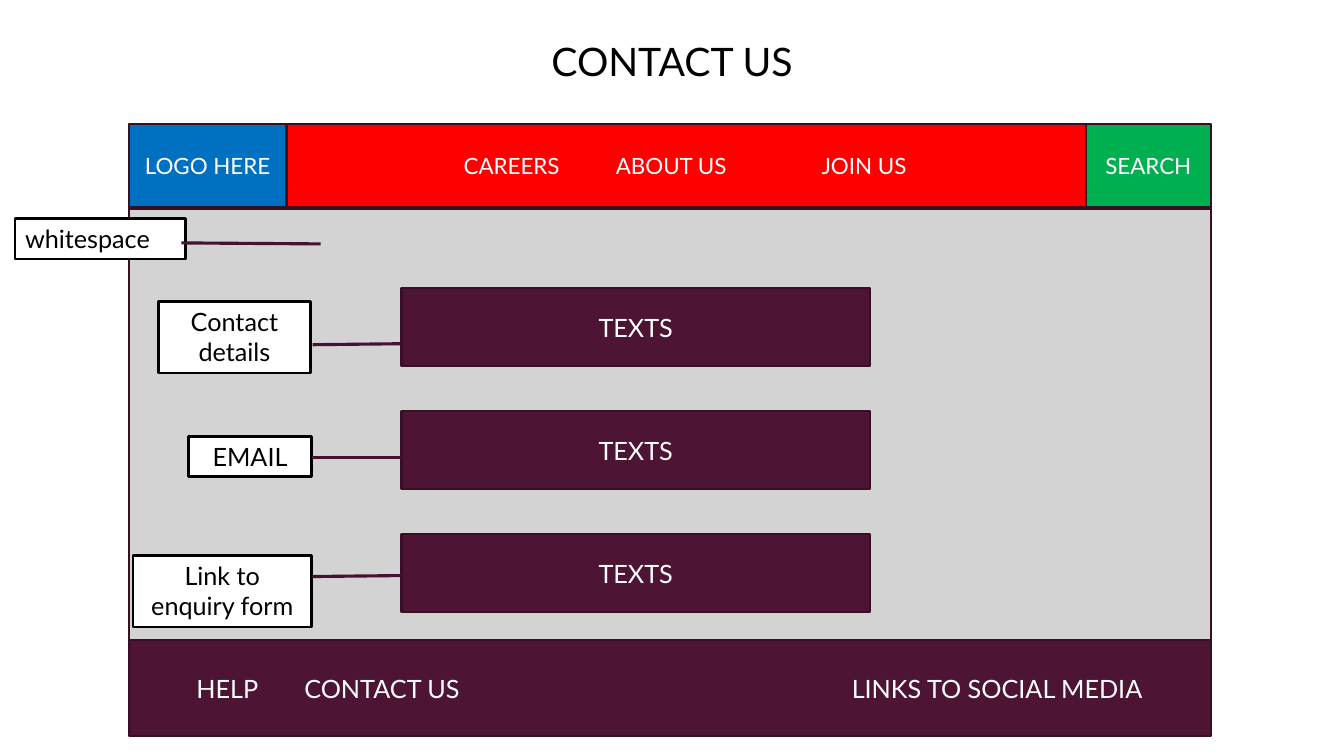
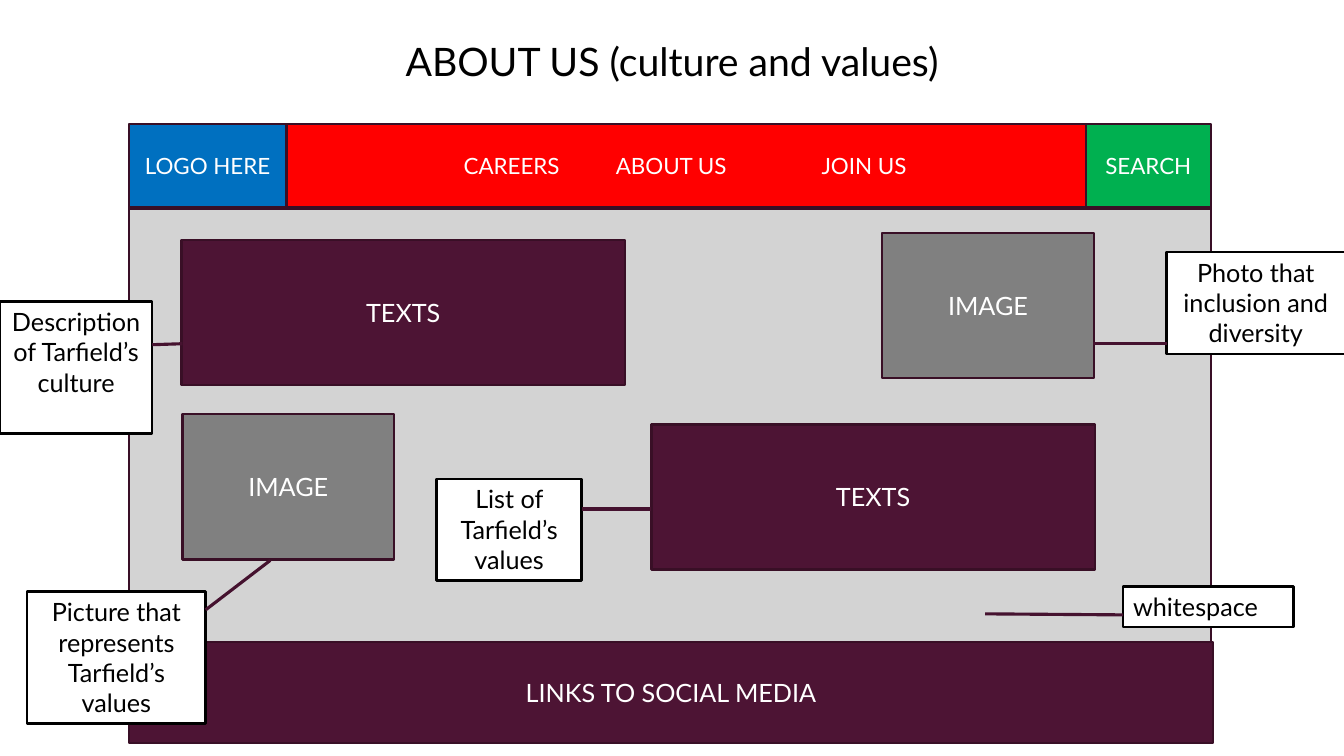
from lxml import etree
from pptx import Presentation
from pptx import util as u
from pptx.dml import color
from pptx.enum import shapes, text
from pptx.oxml import ns

FONT = "Lato"
WHITE, BLACK = "FFFFFF", "000000"
PLUM, EDGE, LEADER = "4D1434", "390F26", "45122F"
BLUE, RED, GREEN = "0070C0", "FF0000", "00B050"
PANEL, GREY = "D3D3D3", "808080"
CENTER, LEFT = text.PP_ALIGN.CENTER, text.PP_ALIGN.LEFT

FRAME_LEFT, FRAME_WIDTH = 1.28, 10.73
HEADER_TOP, HEADER_HEIGHT = 1.23, 0.83
HEADER = [
    (["LOGO HERE"], 1.56, BLUE, []),
    (["CAREERS", "ABOUT US", "JOIN US"], 7.93, RED, [1.66, 3.17, 5.21]),
    (["SEARCH"], 1.24, GREEN, []),
]
TEXTS, IMAGE = ("TEXTS", PLUM), ("IMAGE", GREY)

PAGES = [
    {
        "title": "CONTACT US",
        "footer": (["HELP", "CONTACT US", "LINKS TO SOCIAL MEDIA"],
                   (FRAME_LEFT, 6.35, FRAME_WIDTH, 0.95), [0.57, 1.64, 7.07]),
        "blocks": [(TEXTS, (3.98, 2.86 + 1.22 * row, 4.65, 0.77)) for row in range(3)],
        "notes": [
            ("whitespace", (0.15, 2.17, 1.69, 0.4), LEFT),
            ("Contact details", (1.57, 2.99, 1.51, 0.71), CENTER),
            ("EMAIL", (1.87, 4.33, 1.22, 0.4), CENTER),
            ("Link to enquiry form", (1.32, 5.51, 1.77, 0.71), CENTER),
        ],
        "leaders": [
            (3.18, 2.42, 1.8, 2.41),
            (3.98, 3.41, 3.1, 3.42),
            (3.98, 4.54, 3.09, 4.54),
            (3.98, 5.71, 3.09, 5.72),
        ],
    },
    {
        "title": "ABOUT US (culture and values)",
        "footer": (["LINKS TO SOCIAL MEDIA"], (FRAME_LEFT, 6.37, 10.75, 1), []),
        "blocks": [
            (TEXTS, (1.8, 2.38, 4.4, 1.44)),
            (IMAGE, (8.75, 2.31, 2.1, 1.44)),
            (IMAGE, (1.81, 4.11, 2.1, 1.44)),
            (TEXTS, (6.46, 4.21, 4.4, 1.44)),
        ],
        "notes": [
            ("Description of Tarfield’s culture", (0, 2.99, 1.51, 1.31), CENTER),
            ("Photo that inclusion and diversity", (11.57, 2.5, 1.77, 1.01), CENTER),
            ("List of Tarfield’s values", (4.33, 4.75, 1.44, 1.01), CENTER),
            ("Picture that represents Tarfield’s values", (0.27, 5.87, 1.77, 1.31), CENTER),
            ("whitespace", (11.14, 5.82, 1.69, 0.4), LEFT),
        ],
        "leaders": [
            (1.81, 3.41, 1.51, 3.42),
            (11.57, 3.41, 10.84, 3.41),
            (6.46, 5.05, 5.77, 5.05),
            (2.68, 5.56, 2.04, 6.05),
            (11.14, 6.1, 9.77, 6.09),
        ],
    },
]


def rgb(value):
    return color.RGBColor.from_string(value)


def style_para(para, size, ink, align=CENTER):
    para.alignment = align
    para.font.name = FONT
    para.font.size = u.Pt(size)
    para.font.color.rgb = rgb(ink)


def add_box(page, place, fill, line=EDGE):
    box = page.shapes.add_shape(shapes.MSO_SHAPE.RECTANGLE, *map(u.Inches, place))
    box.shadow.inherit = False
    box.fill.solid()
    box.fill.fore_color.rgb = rgb(fill)
    box.line.color.rgb = rgb(line)
    box.line.width = u.Pt(1.75)
    return box


def add_label(page, words, place, fill, size=18):
    box = add_box(page, place, fill)
    box.text_frame.vertical_anchor = text.MSO_ANCHOR.MIDDLE
    para = box.text_frame.paragraphs[0]
    para.text = words
    style_para(para, size, WHITE)
    return para


def add_menu(page, labels, place, fill, size, stops):
    if not stops:
        add_label(page, labels[0], place, fill, size)
        return
    para = add_label(page, "".join("\t" + label for label in labels), place, fill, size)
    para.alignment = LEFT
    tabs = etree.Element(ns.qn("a:tabLst"))
    for stop in stops:
        etree.SubElement(tabs, ns.qn("a:tab"), pos=str(u.Inches(stop)), algn="l")
    para._p.get_or_add_pPr().insert(0, tabs)


def add_note(page, words, place, align):
    box = add_box(page, place, WHITE, BLACK)
    frame = box.text_frame
    frame.vertical_anchor = text.MSO_ANCHOR.TOP
    frame.word_wrap = True
    frame.auto_size = text.MSO_AUTO_SIZE.SHAPE_TO_FIT_TEXT
    frame.paragraphs[0].text = words
    style_para(frame.paragraphs[0], 18, BLACK, align)


def add_leader(page, ends):
    leader = page.shapes.add_connector(shapes.MSO_CONNECTOR.STRAIGHT, *map(u.Inches, ends))
    leader.line.color.rgb = rgb(LEADER)
    leader.line.width = u.Pt(2.25)
    etree.SubElement(leader._element.spPr, ns.qn("a:effectLst"))


def set_title(page, words, width):
    title = page.shapes.title
    title.left, title.top = 0, u.Inches(0.21)
    title.width, title.height = width, u.Inches(0.78)
    title.text_frame.vertical_anchor = text.MSO_ANCHOR.MIDDLE
    title.text_frame.text = words
    style_para(title.text_frame.paragraphs[0], 28, BLACK)


def add_site_frame(page):
    add_box(page, (FRAME_LEFT, 2.07, FRAME_WIDTH, 4.52), PANEL)
    left = FRAME_LEFT
    for labels, width, fill, stops in HEADER:
        add_menu(page, labels, (left, HEADER_TOP, width, HEADER_HEIGHT), fill, 16, stops)
        left += width


def main():
    deck = Presentation()
    deck.slide_width, deck.slide_height = u.Inches(13.33), u.Inches(7.5)
    for content in PAGES:
        page = deck.slides.add_slide(deck.slide_layouts[5])
        set_title(page, content["title"], deck.slide_width)
        add_site_frame(page)
        labels, place, stops = content["footer"]
        add_menu(page, labels, place, PLUM, 18, stops)
        for (words, fill), place in content["blocks"]:
            add_label(page, words, place, fill)
        for note in content["notes"]:
            add_note(page, *note)
        for ends in content["leaders"]:
            add_leader(page, ends)
    deck.save("out.pptx")


if __name__ == "__main__":
    main()
